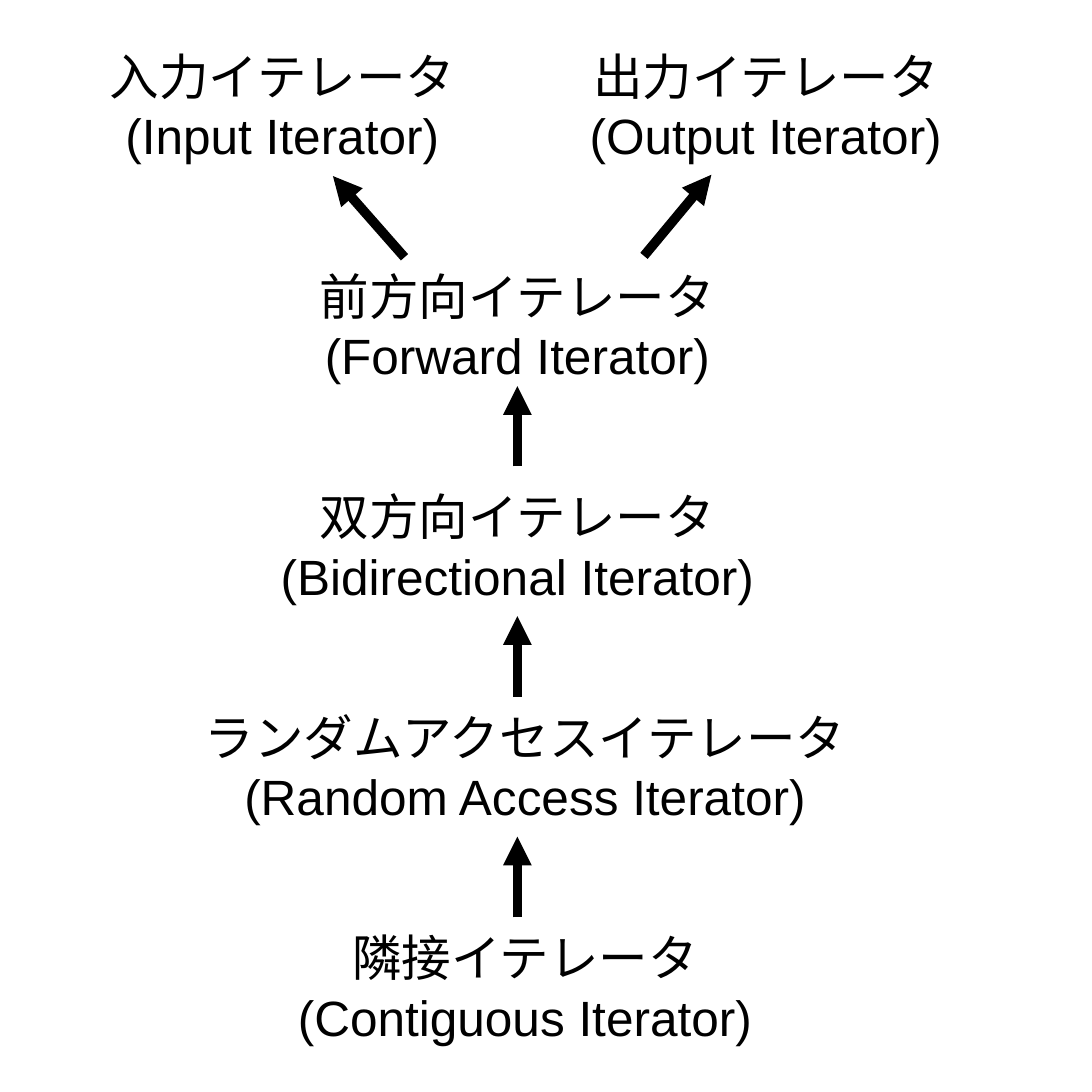
"""Build a one-slide diagram of the iterator category hierarchy."""
from dataclasses import dataclass

from lxml.etree import SubElement
from pptx import Presentation
from pptx.dml.color import RGBColor
from pptx.enum.shapes import MSO_CONNECTOR as Connector
from pptx.enum.text import MSO_ANCHOR as Anchor, MSO_AUTO_SIZE as AutoSize, PP_ALIGN as Align
from pptx.oxml.ns import qn
from pptx.util import Pt


@dataclass(frozen=True)
class Theme:
    ink: RGBColor = RGBColor(0, 0, 0)
    paper: RGBColor = RGBColor(255, 255, 255)
    font: str = "Arial"
    text_size: float = 18
    arrow_width: float = 3.5


theme = Theme()
presentation = Presentation()
presentation.slide_width = presentation.slide_height = Pt(396.8)
slide = presentation.slides.add_slide(presentation.slide_layouts[6])
slide.background.fill.solid()
slide.background.fill.fore_color.rgb = theme.paper

FIRST_TOP, ROW_PITCH, LABEL_HEIGHT = 13, 80.1, 50.5
AXIS = 188

iterators = [
    (0, 102.6, 156, "入力イテレータ", "(Input Iterator)"),
    (0, 278.3, 156, "出力イテレータ", "(Output Iterator)"),
    (1, AXIS, 171, "前方向イテレータ", "(Forward Iterator)"),
    (2, AXIS, 212, "双方向イテレータ", "(Bidirectional Iterator)"),
    (3, 190.8, 282, "ランダムアクセスイテレータ", "(Random Access Iterator)"),
    (4, 190.8, 282, "隣接イテレータ", "(Contiguous Iterator)"),
]
for row, center, width, *names in iterators:
    label = slide.shapes.add_textbox(
        Pt(center - width / 2), Pt(FIRST_TOP + row * ROW_PITCH), Pt(width), Pt(LABEL_HEIGHT)
    )
    frame = label.text_frame
    frame.word_wrap = True
    frame.auto_size = AutoSize.SHAPE_TO_FIT_TEXT
    frame.vertical_anchor = Anchor.TOP
    frame.text = "\n".join(names)
    for paragraph in frame.paragraphs:
        paragraph.alignment = Align.CENTER
        paragraph.font.name = theme.font
        paragraph.font.size = Pt(theme.text_size)
        paragraph.font.color.rgb = theme.ink

arrows = [
    (147, 93.5, 121, 64),
    (234, 93, 258.5, 63.5),
    (AXIS, 169.5, AXIS, 140.3),
    (AXIS, 253.2, AXIS, 223.9),
    (AXIS, 333.4, AXIS, 304),
]
for ends in arrows:
    arrow = slide.shapes.add_connector(Connector.STRAIGHT, *map(Pt, ends))
    arrow.line.color.rgb = theme.ink
    arrow.line.width = Pt(theme.arrow_width)
    SubElement(arrow.line._get_or_add_ln(), qn("a:tailEnd"), type="triangle")
    SubElement(arrow._element.spPr, qn("a:effectLst"))

presentation.save("out.pptx")
